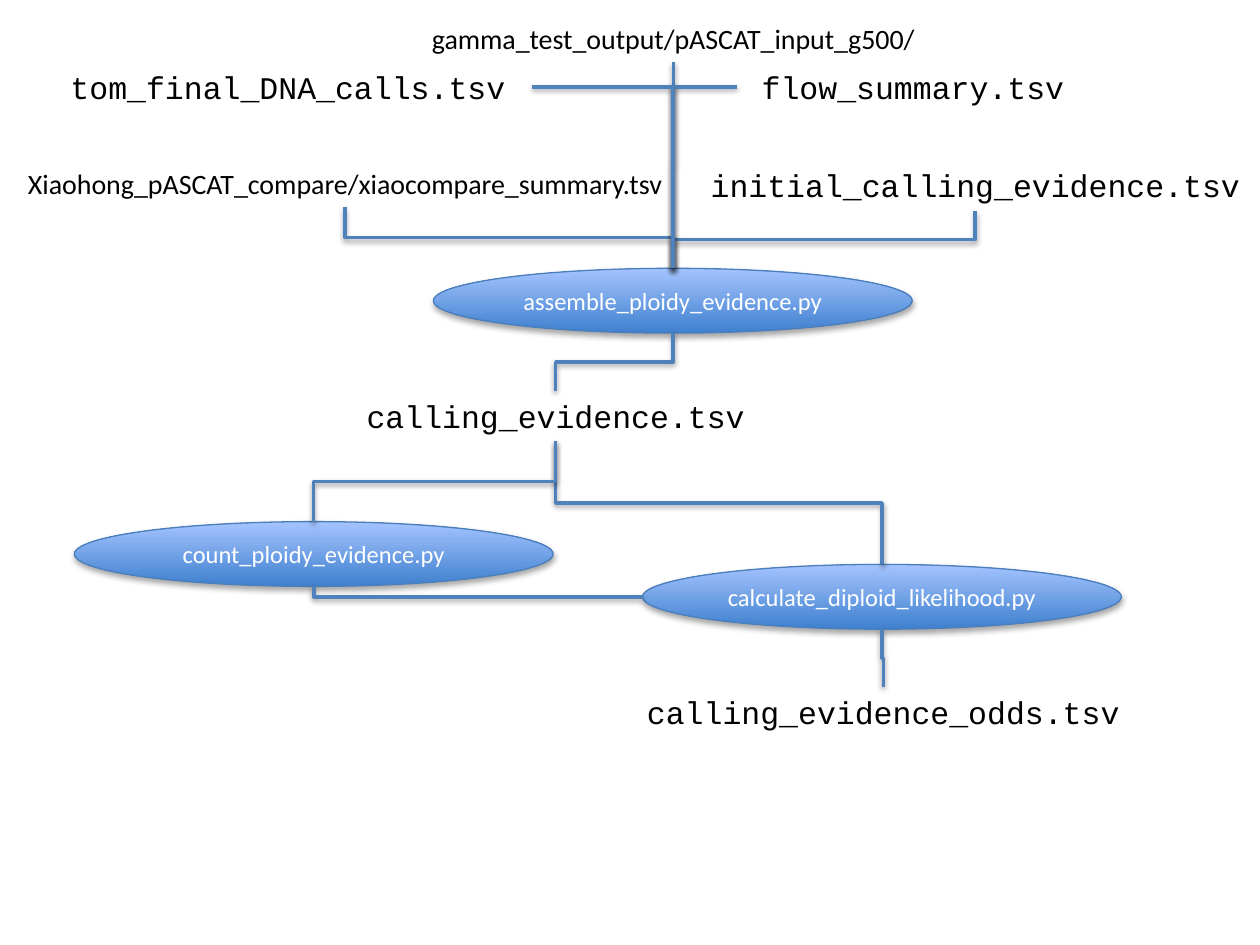
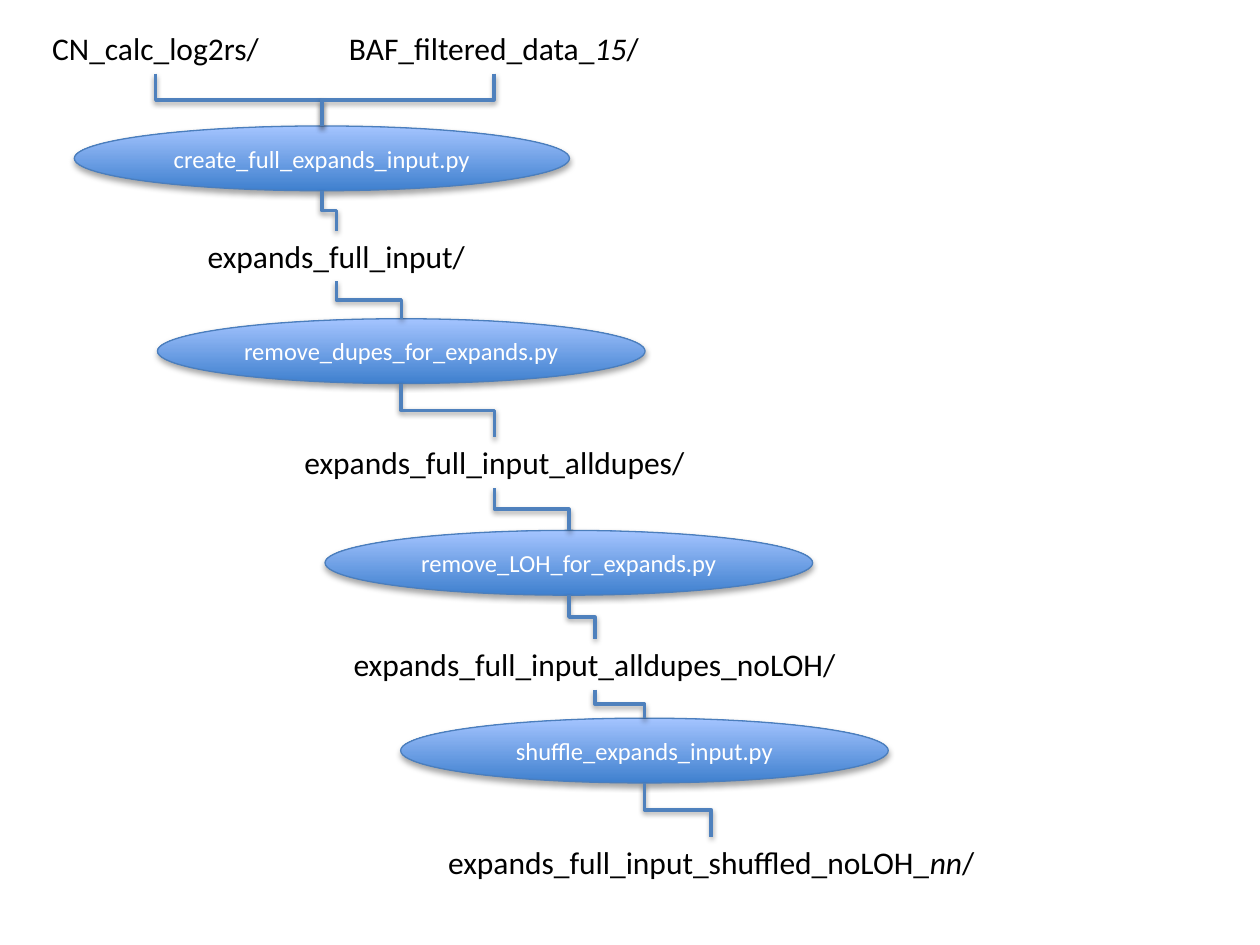
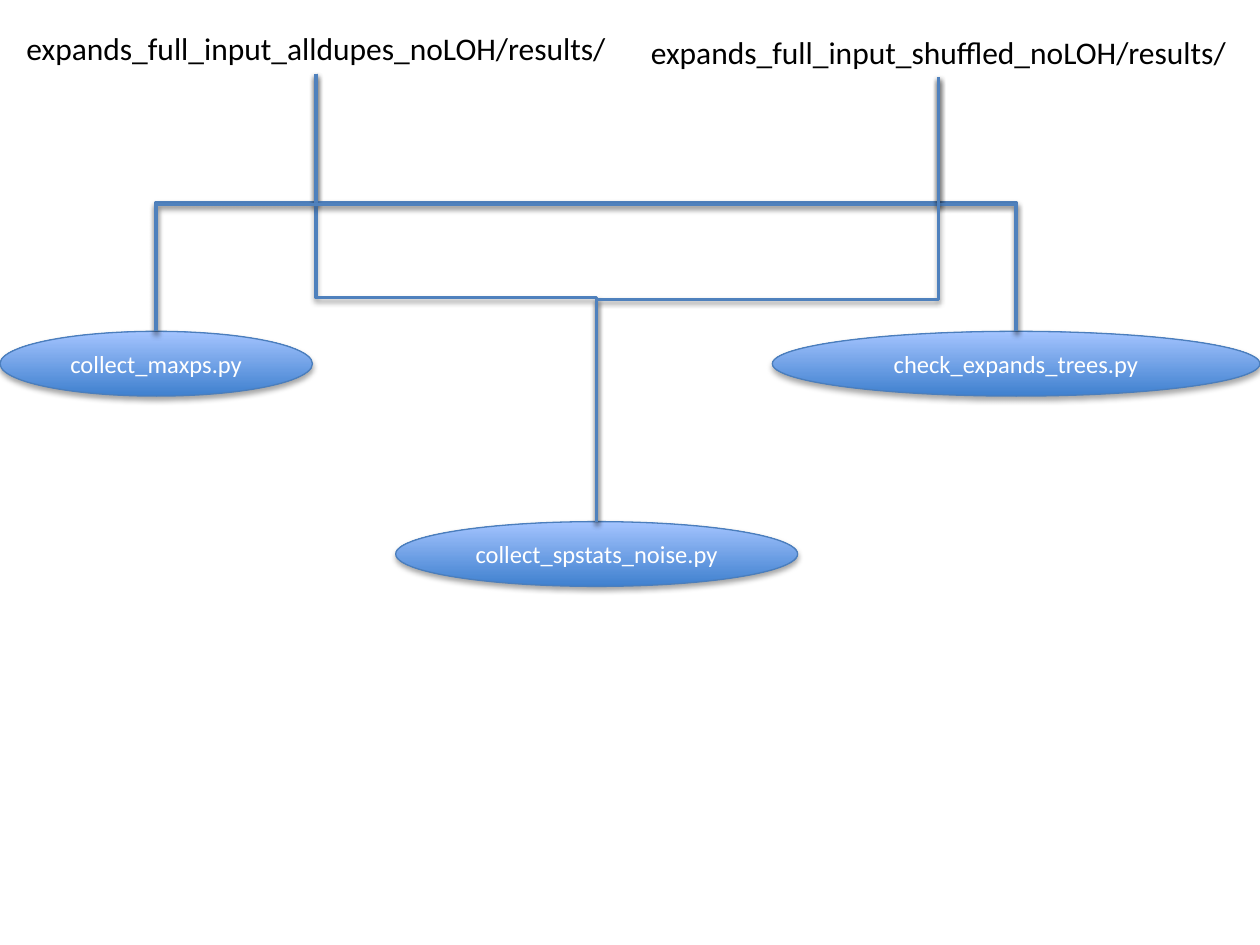
from itertools import product
from pptx import Presentation
from pptx.dml.color import RGBColor
from pptx.enum.shapes import MSO_CONNECTOR, MSO_SHAPE
from pptx.enum.text import MSO_ANCHOR, MSO_AUTO_SIZE, PP_ALIGN
from pptx.util import Inches, Pt

BLACK = RGBColor(0x00, 0x00, 0x00)
WHITE = RGBColor(0xFF, 0xFF, 0xFF)
LINK_BLUE = RGBColor(0x4F, 0x81, 0xBD)
EDGE_BLUE = RGBColor(0x4B, 0x7E, 0xBC)
DEEP_BLUE = RGBColor(0x3F, 0x80, 0xCE)
PALE_BLUE = RGBColor(0xA4, 0xC4, 0xFF)
SANS, MONO = "Calibri", "Courier New"
TOP, LEFT, BOTTOM, RIGHT = range(4)
SCRIPT_HEIGHT = 5.14
FILE_HEIGHTS = {16: 3.7, 18: 4.04}

deck = Presentation()
deck.slide_width, deck.slide_height = Inches(10), Inches(7.5)
COLUMN, ROW = deck.slide_width / 100, deck.slide_height / 75


def write(box, text, font, size, color):
    para = box.text_frame.paragraphs[0]
    para.alignment = PP_ALIGN.CENTER
    for index, part in enumerate(text.split("*")):
        span = para.add_run()
        span.text = part
        span.font.name, span.font.size = font, Pt(size)
        span.font.color.rgb = color
        span.font.italic = index % 2 == 1


def link(page, start, start_side, end, end_side):
    points = []
    for (box, step), side in ((start, start_side), (end, end_side)):
        across = {LEFT: 0, RIGHT: 1}.get(side, 0.5)
        down = {TOP: 0, BOTTOM: 1}.get(side, 0.5)
        points += [box.left + across * box.width, box.top + down * box.height]
    x1, y1, x2, y2 = points
    dx, dy = x2 - x1, y2 - y1
    line = page.shapes.add_connector(MSO_CONNECTOR.ELBOW, 0, 0, 0, 0)
    line.begin_connect(start[0], start_side)
    line.end_connect(end[0], end_side)
    ends = line._element.nvCxnSpPr.cNvCxnSpPr
    ends.stCxn.set("idx", str(start_side * start[1]))
    ends.endCxn.set("idx", str(end_side * end[1]))
    line.width, line.height = int(abs(dy)), int(abs(dx))
    line.left = int((x1 + x2 - abs(dy)) / 2)
    line.top = int((y1 + y2 - abs(dx)) / 2)
    properties = line._element.spPr
    properties.xfrm.set("rot", str((90 if dx < 0 else 270) * 60000))
    properties.xfrm.set("flipH", "1" if (dx < 0) == (dy < 0) else "0")
    properties.xfrm.set("flipV", "0")
    if end_side in (LEFT, RIGHT):
        properties.prstGeom.set("prst", "bentConnector2")
    line.line.color.rgb = LINK_BLUE
    line.line.width = Pt(2)


pages = [
    {
        "files": [
            ("compare", "Xiaohong_pASCAT_compare/xiaocompare_summary.tsv", 0, 12.7, 54.8, SANS, 16),
            ("initial", "initial_calling_evidence.tsv", 54.8, 12.7, 45.2, MONO, 18),
            ("evidence", "calling_evidence.tsv", 27.3, 31, 33.6, MONO, 18),
            ("odds", "calling_evidence_odds.tsv", 49.3, 54.5, 41.6, MONO, 18),
            ("calls", "tom_final_DNA_calls.tsv", 3.5, 4.9, 38.7, MONO, 18),
            ("flow", "flow_summary.tsv", 58.5, 4.9, 27.9, MONO, 18),
            ("gamma", "gamma_test_output/pASCAT_input_g500/", 32.5, 1.2, 41.9, SANS, 16),
        ],
        "scripts": [
            ("assemble", "assemble_ploidy_evidence.py", 34.4, 21.3, 38),
            ("likelihood", "calculate_diploid_likelihood.py", 51, 44.8, 38),
            ("count", "count_ploidy_evidence.py", 5.9, 41.4, 38),
        ],
        "links": [
            *product(["compare", "initial", "gamma"], ["assemble"]),
            ("assemble", "evidence"),
            *product(["evidence"], ["likelihood", "count"]),
            ("likelihood", "odds"),
        ],
        "corners": [
            ("count", BOTTOM, "likelihood", LEFT),
            ("assemble", TOP, "flow", LEFT),
            ("assemble", TOP, "calls", RIGHT),
        ],
    },
    {
        "files": [
            ("log ratios", "CN_calc_log2rs/", 3, 1.8, 18.7, SANS, 18),
            ("filtered", "BAF_filtered_data_*15*/", 25.8, 1.8, 26.8, SANS, 18),
            ("full", "expands_full_input/", 11.3, 18.3, 30.8, SANS, 18),
            ("all dupes", "expands_full_input_alldupes/", 21.9, 34.7, 34.7, SANS, 18),
            ("no LOH", "expands_full_input_alldupes_noLOH/", 26, 50.7, 42.4, SANS, 18),
            ("shuffled", "expands_full_input_shuffled_noLOH_*nn*/", 33.3, 66.4, 46.3, SANS, 18),
        ],
        "scripts": [
            ("create", "create_full_expands_input.py", 5.9, 10, 39.3),
            ("remove dupes", "remove_dupes_for_expands.py", 12.5, 25.3, 38.7),
            ("remove LOH", "remove_LOH_for_expands.py", 25.8, 42.1, 38.7),
            ("shuffle", "shuffle_expands_input.py", 31.8, 57, 38.7),
        ],
        "links": [
            *product(["log ratios", "filtered"], ["create"]),
            ("create", "full"),
            ("full", "remove dupes"),
            ("remove dupes", "all dupes"),
            ("all dupes", "remove LOH"),
            ("remove LOH", "no LOH"),
            ("no LOH", "shuffle"),
            ("shuffle", "shuffled"),
        ],
        "corners": [],
    },
    {
        "files": [
            ("all dupes", "expands_full_input_alldupes_noLOH/results/", 0, 1.8, 50.2, SANS, 18),
            ("shuffled", "expands_full_input_shuffled_noLOH/results/", 49, 2.1, 51, SANS, 18),
        ],
        "scripts": [
            ("maxps", "collect_maxps.py", 0, 26.3, 24.8),
            ("trees", "check_expands_trees.py", 61.3, 26.3, 38.7),
            ("noise", "collect_spstats_noise.py", 31.4, 41.4, 31.9),
        ],
        "links": product(["all dupes", "shuffled"], ["maxps", "trees", "noise"]),
        "corners": [],
    },
]

for content in pages:
    page = deck.slides.add_slide(deck.slide_layouts[6])
    nodes = {}

    for key, text, left, top, width, font, size in content["files"]:
        box = page.shapes.add_textbox(
            int(left * COLUMN), int(top * ROW),
            int(width * COLUMN), int(FILE_HEIGHTS[size] * ROW))
        box.text_frame.word_wrap = True
        box.text_frame.auto_size = MSO_AUTO_SIZE.SHAPE_TO_FIT_TEXT
        write(box, text, font, size, BLACK)
        nodes[key] = box, 1

    for key, text, left, top, width in content["scripts"]:
        oval = page.shapes.add_shape(
            MSO_SHAPE.OVAL, int(left * COLUMN), int(top * ROW),
            int(width * COLUMN), int(SCRIPT_HEIGHT * ROW))
        oval.fill.gradient()
        oval.fill.gradient_angle = 90
        for stop, color in zip(oval.fill.gradient_stops, (DEEP_BLUE, PALE_BLUE)):
            stop.color.rgb = color
        oval.line.color.rgb = EDGE_BLUE
        oval.line.width = Pt(0.75)
        oval.text_frame.vertical_anchor = MSO_ANCHOR.MIDDLE
        write(oval, text, SANS, 14, WHITE)
        nodes[key] = oval, 2

    for start, end in content["links"]:
        link(page, nodes[start], BOTTOM, nodes[end], TOP)
    for start, start_side, end, end_side in content["corners"]:
        link(page, nodes[start], start_side, nodes[end], end_side)

deck.save("out.pptx")
